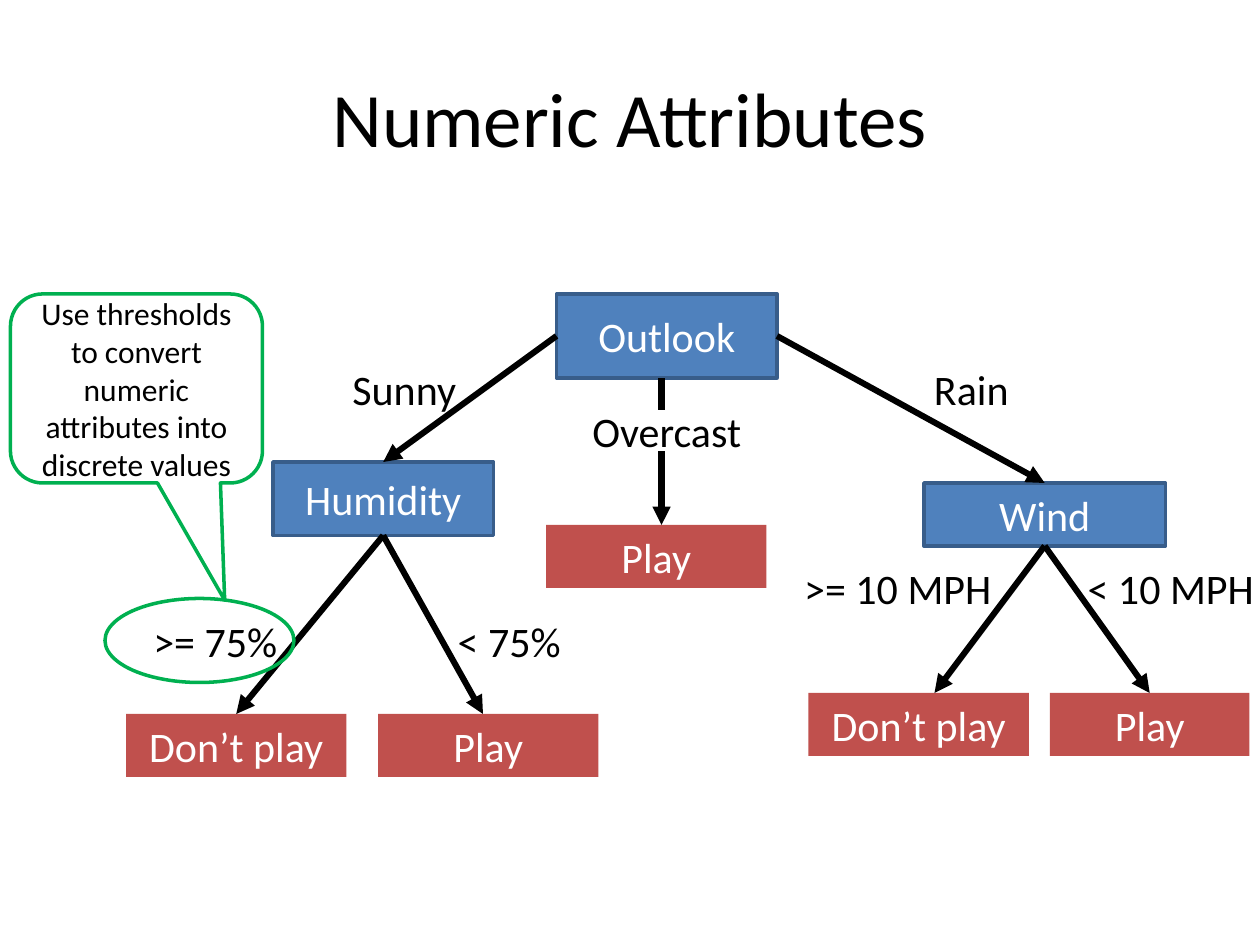
from pptx import Presentation
from pptx.dml.color import RGBColor
from pptx.enum import shapes, text
from pptx.oxml import ns
from pptx.util import Pt
from lxml import etree

HUES = {"node": "4F81BD", "edge": "385D8A", "leaf": "C0504D",
        "note": "00B050", "ink": "000000", "pale": "FFFFFF"}
KIND = shapes.MSO_SHAPE
BOTTOM, LEFT, TOP, RIGHT = 2, 1, 0, 3


def write(shape, words, size, hue):
    """Put centred words in the middle of a shape."""
    frame = shape.text_frame
    for name, value in {"word_wrap": True, "vertical_anchor": text.MSO_ANCHOR.MIDDLE}.items():
        setattr(frame, name, value)
    para = frame.paragraphs[0]
    para.text = words
    para.alignment = text.PP_ALIGN.CENTER
    for name, value in {"name": "Calibri", "size": Pt(size)}.items():
        setattr(para.runs[0].font, name, value)
    para.runs[0].font.color.rgb = RGBColor.from_string(HUES[hue])


def draw(kind, box, fill=None, line=None):
    """Add a preset shape; no fill or line name means none is drawn."""
    shape = slide.shapes.add_shape(kind, *map(Pt, box))
    shape.shadow.inherit = False
    if fill:
        shape.fill.solid()
        shape.fill.fore_color.rgb = RGBColor.from_string(HUES[fill])
    else:
        shape.fill.background()
    if line:
        shape.line.color.rgb = RGBColor.from_string(HUES[line])
        shape.line.width = Pt(2)
    else:
        shape.line.fill.background()
    return shape


deck = Presentation()
deck.slide_width, deck.slide_height = Pt(720), Pt(540)
slide = deck.slides.add_slide(deck.slide_layouts[5])

title = slide.shapes.title
for name, value in {"left": 36, "top": 21.6, "width": 648, "height": 90}.items():
    setattr(title, name, Pt(value))
write(title, "Numeric Attributes", 44, "ink")

# Tree boxes: key, words, place, fill, outline
boxes = {}
for key, words, box, fill, line in [
    ("outlook", "Outlook", (318, 168, 126, 48), "node", "edge"),
    ("humid", "Humidity", (156, 264, 126, 42), "node", "edge"),
    ("wind", "Wind", (528, 276, 138, 36), "node", "edge"),
    ("dry", "Play", (216, 408, 126, 36), "leaf", None),
    ("cloud", "Play", (312, 300, 126, 36), "leaf", None),
    ("damp", "Don’t play", (72, 408, 126, 36), "leaf", None),
    ("calm", "Play", (600, 396, 114, 36), "leaf", None),
    ("gale", "Don’t play", (462, 396, 126, 36), "leaf", None),
]:
    boxes[key] = draw(KIND.RECTANGLE, box, fill, line)
    write(boxes[key], words, 24, "pale")

# Branch labels
for words, left, top, width in [
    ("Sunny", 186, 198, 90), ("Rain", 492, 198, 126), ("Overcast", 318, 222, 126),
    (">= 75%", 60, 342, 126), ("< 75%", 228, 342, 126),
    ("< 10 MPH", 606, 312, 126), (">= 10 MPH", 450, 312, 126),
]:
    label = slide.shapes.add_textbox(Pt(left), Pt(top), Pt(width), Pt(48))
    write(label, words, 24, "ink")

# Branches: ends, joined boxes with their sides, arrowhead
for ends, start, stop, head in [
    ((318, 192, 219, 264), ("outlook", LEFT), ("humid", TOP), True),
    ((444, 192, 597, 276), ("outlook", RIGHT), ("wind", TOP), True),
    ((219, 306, 135, 408), ("humid", BOTTOM), ("damp", TOP), True),
    ((219, 306, 276, 408), ("humid", BOTTOM), None, True),
    ((597, 312, 534, 396), ("wind", BOTTOM), None, True),
    ((597, 312, 657, 396), ("wind", BOTTOM), ("calm", TOP), True),
    ((378, 258, 378, 300), None, None, True),
    ((378, 216, 378, 234), None, None, False),
]:
    branch = slide.shapes.add_connector(shapes.MSO_CONNECTOR.STRAIGHT, *map(Pt, ends))
    if start:
        branch.begin_connect(boxes[start[0]], start[1])
    if stop:
        branch.end_connect(boxes[stop[0]], stop[1])
    branch.line.color.rgb = RGBColor.from_string(HUES["ink"])
    branch.line.width = Pt(3.5)
    if head:
        etree.SubElement(branch.line._get_or_add_ln(), ns.qn("a:tailEnd"), type="triangle")
    etree.SubElement(branch._element.spPr, ns.qn("a:effectLst"))

# Callout and the threshold it points to
draw(KIND.OVAL, (60, 342, 108, 48), line="note")
note = draw(KIND.ROUNDED_RECTANGULAR_CALLOUT, (6, 168, 144, 108), line="note")
for spot, value in enumerate((0.35, 1.12, 0.17)):
    note.adjustments[spot] = value
write(note, "Use thresholds to convert numeric attributes into discrete values", 18, "ink")

deck.save("out.pptx")
